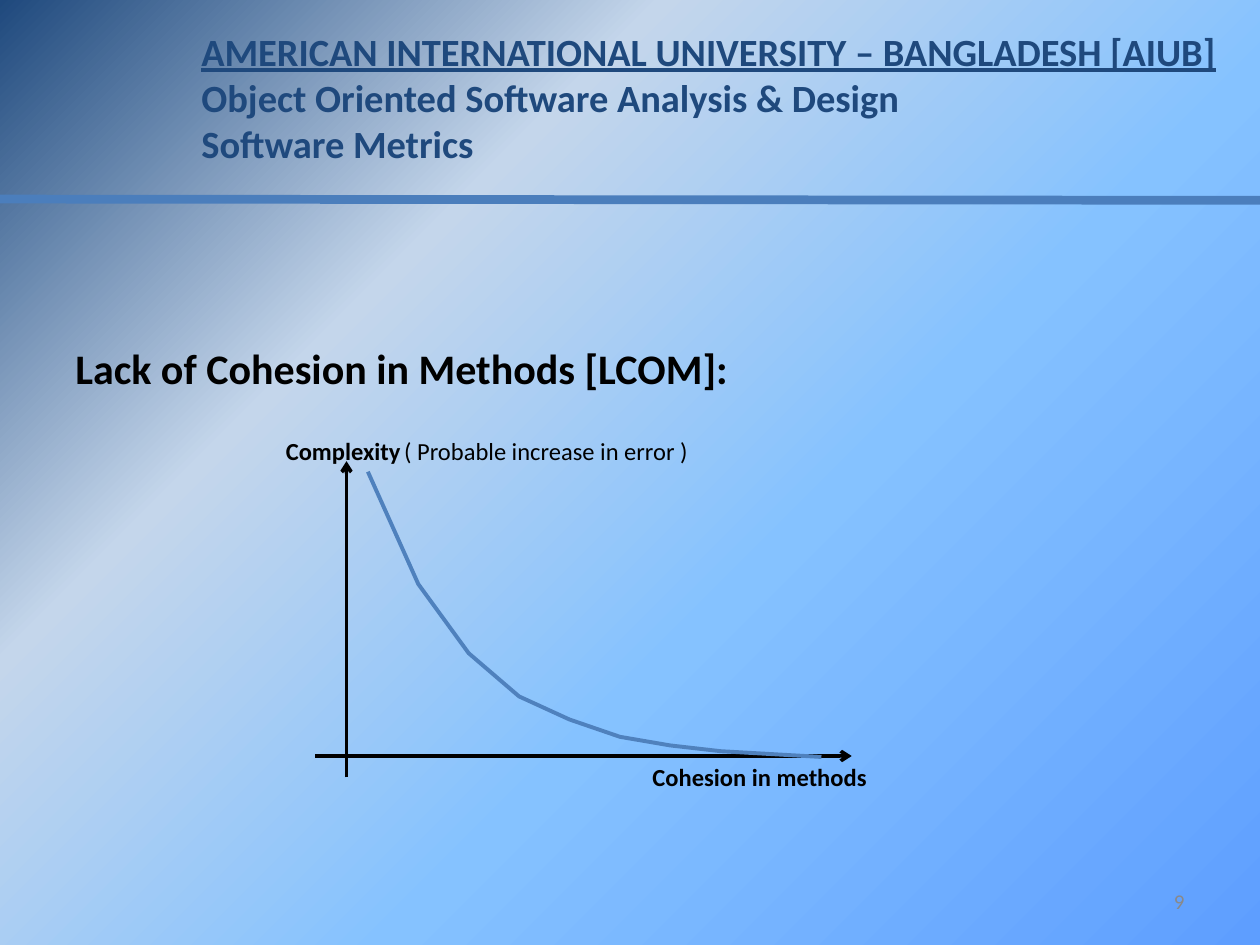
from dataclasses import dataclass

import lxml.etree
import pptx
import pptx.chart.data
import pptx.dml.color
import pptx.enum.chart
import pptx.enum.shapes
import pptx.enum.text
import pptx.oxml
import pptx.oxml.ns
import pptx.util

PX = 9144
FONT = "Calibri"
RGB = pptx.dml.color.RGBColor
BLACK = RGB(0x00, 0x00, 0x00)
NAVY = RGB(0x1F, 0x49, 0x7D)
GREY = RGB(0x89, 0x89, 0x89)
RULE_BLUE = RGB(0x4B, 0x7E, 0xBC)
CURVE_BLUE = RGB(0x4F, 0x81, 0xBD)
BACKGROUND = [
    (0, RGB(0x5E, 0x9E, 0xFF)),
    (40, RGB(0x85, 0xC2, 0xFF)),
    (70, RGB(0xC4, 0xD6, 0xEB)),
    (100, NAVY),
]
ALIGN = pptx.enum.text.PP_ALIGN
ANCHOR = pptx.enum.text.MSO_ANCHOR
AUTO_SIZE = pptx.enum.text.MSO_AUTO_SIZE
qn = pptx.oxml.ns.qn


@dataclass(frozen=True)
class Label:
    box: tuple[int, int, int, int]
    lines: tuple[str, ...]
    size: int
    color: RGB = BLACK
    bold: bool = True
    wrap: bool = True
    grow: bool = False
    underline_first: bool = False
    align: ALIGN = ALIGN.LEFT
    anchor: ANCHOR = ANCHOR.TOP
    hanging: int = 0


@dataclass(frozen=True)
class Line:
    start: tuple[int, int]
    end: tuple[int, int]
    color: RGB
    width: int
    arrow: bool = False


HEADER_RULE = Line((0, 158), (1000, 159), RULE_BLUE, 5)
AXES = [
    Line((250, 600), (676, 600), BLACK, 2, arrow=True),
    Line((275, 617), (275, 366), BLACK, 2, arrow=True),
]
HEADER = Label(
    (150, 17, 842, 121),
    (
        "AMERICAN INTERNATIONAL UNIVERSITY – BANGLADESH [AIUB]\v"
        "Object Oriented Software Analysis & Design",
        "Software Metrics",
    ),
    22, NAVY, grow=True, underline_first=True,
)
PAGE_NUMBER = Label((717, 695, 233, 40), ("9",), 12, GREY, bold=False,
                    align=ALIGN.RIGHT, anchor=ANCHOR.MIDDLE)
HEADING = Label((50, 267, 900, 50), ("Lack of Cohesion in Methods [LCOM]:",),
                24, hanging=38)
AXIS_LABELS = [
    Label((508, 600, 191, 34), ("Cohesion in methods",), 14, wrap=False, grow=True),
    Label((217, 341, 112, 34), ("Complexity",), 14, wrap=False, grow=True),
]
ERROR_NOTE = Label((311, 341, 247, 34), ("( Probable increase in error )",), 14,
                   bold=False, wrap=False, grow=True)
COMPLEXITY = [100, 61, 37, 22, 14, 8, 5, 3, 2, 1]


def px(n: int) -> pptx.util.Emu:
    return pptx.util.Emu(n * PX)


def paint_background(slide) -> None:
    slide.background.fill.gradient()
    grad = slide.element.find(".//" + qn("a:gradFill"))
    for child in list(grad):
        grad.remove(child)
    stops = lxml.etree.SubElement(grad, qn("a:gsLst"))
    for pos, color in BACKGROUND:
        stop = lxml.etree.SubElement(stops, qn("a:gs"), pos=str(pos * 1000))
        lxml.etree.SubElement(stop, qn("a:srgbClr"), val=str(color))
    shade = lxml.etree.SubElement(grad, qn("a:path"), path="circle")
    lxml.etree.SubElement(shade, qn("a:fillToRect"), l="100000", t="100000")


def draw_line(slide, line: Line) -> None:
    sp = slide.shapes.add_connector(
        pptx.enum.shapes.MSO_CONNECTOR.STRAIGHT,
        *map(px, line.start + line.end))
    sp.line.color.rgb = line.color
    sp.line.width = pptx.util.Pt(line.width)
    if line.arrow:
        lxml.etree.SubElement(sp.line._get_or_add_ln(), qn("a:tailEnd"), type="arrow")
    lxml.etree.SubElement(sp.element.spPr, qn("a:effectLst"))


def draw_label(slide, label: Label) -> None:
    tf = slide.shapes.add_textbox(*map(px, label.box)).text_frame
    tf.word_wrap = label.wrap
    tf.vertical_anchor = label.anchor
    tf.auto_size = AUTO_SIZE.SHAPE_TO_FIT_TEXT if label.grow else AUTO_SIZE.NONE
    for i, line in enumerate(label.lines):
        p = tf.add_paragraph() if i else tf.paragraphs[0]
        p.alignment = label.align
        if label.hanging:
            pPr = p._p.get_or_add_pPr()
            pPr.set("marL", str(px(label.hanging)))
            pPr.set("indent", str(-px(label.hanging)))
        for j, text in enumerate(line.split("\v")):
            if j:
                p.add_line_break()
            r = p.add_run()
            r.text = text
            r.font.name = FONT
            r.font.size = pptx.util.Pt(label.size)
            r.font.bold = label.bold
            r.font.underline = label.underline_first and i == j == 0
            r.font.color.rgb = label.color


def draw_curve(slide) -> None:
    data = pptx.chart.data.XyChartData()
    points = data.add_series("Series 1")
    for x, y in enumerate(COMPLEXITY, 1):
        points.add_data_point(x, y)
    chart = slide.shapes.add_chart(
        pptx.enum.chart.XL_CHART_TYPE.XY_SCATTER_SMOOTH_NO_MARKERS,
        *map(px, (242, 317, 500, 292)), data).chart
    chart.has_legend = False
    chart.has_title = False
    chart.font.name = FONT
    chart.font.size = pptx.util.Pt(10)
    chart.font.color.rgb = BLACK
    for axis, top in ((chart.category_axis, 12), (chart.value_axis, 120)):
        axis.minimum_scale = 0
        axis.maximum_scale = top
        axis.has_major_gridlines = False
        axis.visible = False
    plot = chart.plots[0]
    plot.vary_by_categories = False
    series = plot.series[0]
    series.smooth = True
    series.format.line.color.rgb = CURVE_BLUE
    series.format.line.width = pptx.util.Pt(2.25)
    area = chart.element.find(".//" + qn("c:plotArea"))
    for old in area.findall(qn("c:layout")):
        area.remove(old)
    layout = lxml.etree.Element(qn("c:layout"))
    area.insert(0, layout)
    manual = lxml.etree.SubElement(layout, qn("c:manualLayout"))
    for tag, val in (("layoutTarget", "inner"), ("xMode", "edge"), ("yMode", "edge"),
                     ("x", "0.02"), ("y", "0.04"), ("w", "0.96"), ("h", "0.94")):
        lxml.etree.SubElement(manual, qn("c:" + tag), val=val)


def main() -> None:
    prs = pptx.Presentation()
    prs.slide_width, prs.slide_height = px(1000), px(750)
    slide = prs.slides.add_slide(prs.slide_layouts[6])
    paint_background(slide)
    draw_line(slide, HEADER_RULE)
    for label in (HEADER, PAGE_NUMBER, HEADING):
        draw_label(slide, label)
    for axis in AXES:
        draw_line(slide, axis)
    for label in AXIS_LABELS:
        draw_label(slide, label)
    draw_curve(slide)
    draw_label(slide, ERROR_NOTE)
    prs.save("out.pptx")


if __name__ == "__main__":
    main()
